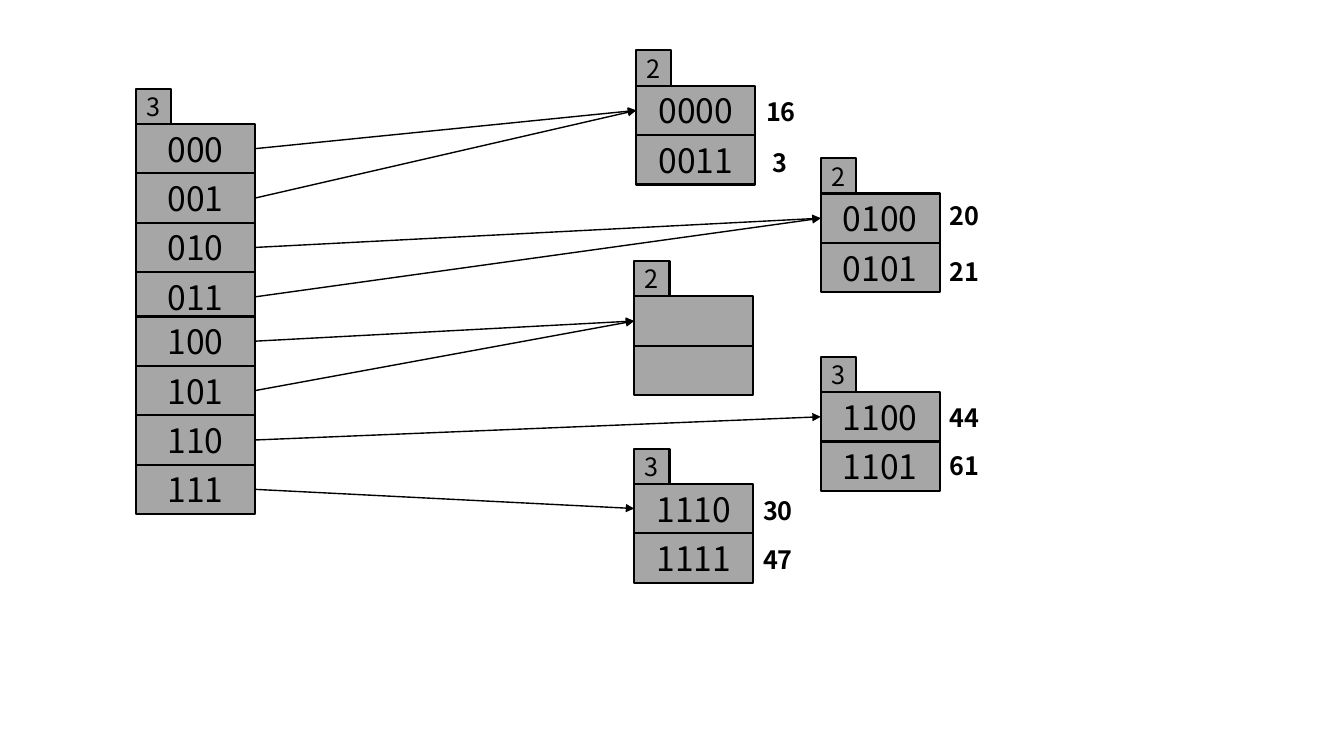
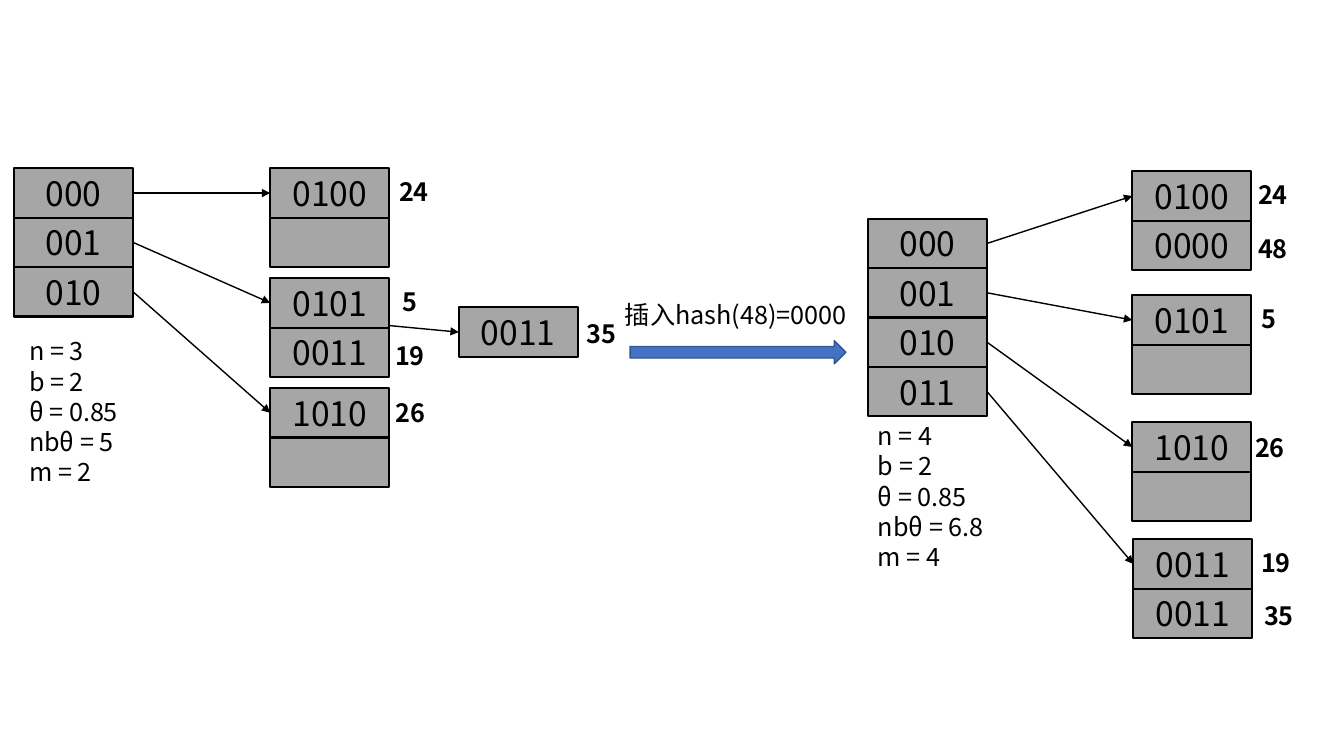
from lxml.etree import SubElement
from pptx import Presentation
from pptx.dml.color import RGBColor
from pptx.enum.shapes import MSO_CONNECTOR, MSO_SHAPE
from pptx.enum.text import MSO_ANCHOR, PP_ALIGN
from pptx.oxml.ns import qn
from pptx.util import Inches, Pt

# Shared style
FONT = "Noto Sans CJK SC"
BLACK, GRAY, BLUE, DARK_BLUE = "000000", "A6A6A6", "4472C4", "325491"
CELL_WIDTH, CELL_HEIGHT, TAB_SIZE = 1.18, 0.49, 0.35


def color(value):
    return RGBColor.from_string(value)


def write_text(shape, text, size=18, bold=False, align=PP_ALIGN.LEFT,
               anchor=MSO_ANCHOR.TOP, side=0.1, top=0.05, spacing=None):
    """Fill a shape with one paragraph for each line of text."""
    frame = shape.text_frame
    frame.word_wrap = True
    frame.vertical_anchor = anchor
    frame.margin_left = frame.margin_right = Inches(side)
    frame.margin_top = Inches(top)
    frame.text = text
    for paragraph in frame.paragraphs:
        paragraph.alignment = align
        if spacing:
            paragraph.line_spacing = Pt(spacing)
        for run in paragraph.runs:
            run.font.name = FONT
            run.font.size = Pt(size)
            run.font.bold = bold
            run.font.color.rgb = color(BLACK)
            SubElement(run.font._element, qn("a:ea"), typeface=FONT)


class Diagram:
    """Draws hash tables on the current slide."""

    def __init__(self):
        self.presentation = Presentation()
        self.presentation.slide_width = Inches(13.33)
        self.presentation.slide_height = Inches(7.5)
        self.slide = None

    def new_slide(self):
        layout = self.presentation.slide_layouts[6]
        self.slide = self.presentation.slides.add_slide(layout)

    def shape(self, kind, left, top, width, height, fill=GRAY, line=BLACK, weight=1.5):
        shape = self.slide.shapes.add_shape(
            kind, Inches(left), Inches(top), Inches(width), Inches(height))
        shape.shadow.inherit = False
        shape.fill.solid()
        shape.fill.fore_color.rgb = color(fill)
        shape.line.color.rgb = color(line)
        shape.line.width = Pt(weight)
        return shape

    def box(self, text, left, top, width, height, size):
        box = self.shape(MSO_SHAPE.RECTANGLE, left, top, width, height)
        if text:
            write_text(box, text, size=size, align=PP_ALIGN.CENTER,
                       anchor=MSO_ANCHOR.MIDDLE, side=0.05)
        return box

    def stack(self, left, top, values, depth=None):
        """Draw cells downwards, with an optional depth tab above them."""
        cells = [self.box(value, left, top + row * CELL_HEIGHT, CELL_WIDTH, CELL_HEIGHT, 24)
                 for row, value in enumerate(values)]
        if depth:
            self.box(depth, left, top - TAB_SIZE, TAB_SIZE, TAB_SIZE, 18)
        return cells

    def text(self, text, left, top, width, height=0.4, **style):
        box = self.slide.shapes.add_textbox(
            Inches(left), Inches(top), Inches(width), Inches(height))
        write_text(box, text, top=0.07, spacing=21.6, **style)

    def keys(self, items):
        for key, left, top in items:
            self.text(key, left, top, 0.49, bold=True, align=PP_ALIGN.CENTER, side=0.05)

    def arrow(self, start, target):
        """Run an arrow from a point to the left side of a cell."""
        connector = self.slide.shapes.add_connector(
            MSO_CONNECTOR.STRAIGHT, *start, *start)
        connector.end_connect(target, 1)
        connector.line.color.rgb = color(BLACK)
        connector.line.width = Pt(1)
        SubElement(connector.line._get_or_add_ln(), qn("a:tailEnd"), type="triangle")
        SubElement(connector._element.spPr, qn("a:effectLst"))
        return connector

    def link(self, source, target):
        start = source.left + source.width, source.top + source.height // 2
        self.arrow(start, target).begin_connect(source, 3)


diagram = Diagram()

# Slide 1: extendible hashing
diagram.new_slide()
directory = diagram.stack(1.35, 1.23, ["000", "001", "010", "011"], depth="3")
directory += diagram.stack(1.35, 3.14, ["100", "101", "110", "111"])
buckets = [
    diagram.stack(left, top, values, depth)
    for left, top, values, depth in [
        (6.31, 0.85, ["0000", "0011"], "2"),
        (8.14, 1.92, ["0100", "0101"], "2"),
        (6.29, 2.94, ["", ""], "2"),
        (8.14, 3.89, ["1100", "1101"], "3"),
        (6.29, 4.80, ["1110", "1111"], "3"),
    ]
]
for entry, bucket in zip(directory, [0, 0, 1, 1, 2, 2, 3, 4]):
    diagram.link(entry, buckets[bucket][0])
diagram.keys([
    ("16", 7.5, 0.89), ("3", 7.49, 1.39), ("20", 9.32, 1.92), ("21", 9.32, 2.47),
    ("44", 9.32, 3.92), ("61", 9.32, 4.4), ("30", 7.47, 4.84), ("47", 7.47, 5.33),
])

# Slide 2: linear hashing before and after an insertion
diagram.new_slide()
tables = [
    (0.14, 1.67, ["000", "001", "010"], [
        (2.68, 1.67, ["0100", ""]),
        (2.68, 2.76, ["0101", "0011"]),
        (2.68, 3.85, ["1010", ""]),
    ]),
    (8.61, 2.17, ["000", "001", "010", "011"], [
        (11.23, 1.7, ["0100", "0000"]),
        (11.23, 2.93, ["0101", ""]),
        (11.23, 4.19, ["1010", ""]),
        (11.24, 5.35, ["0011", "0011"]),
    ]),
]
for left, top, entries, targets in tables:
    directory = diagram.stack(left, top, entries)
    for entry, target in zip(directory, targets):
        diagram.link(entry, diagram.stack(*target)[0])

# Overflow bucket
overflow = diagram.stack(4.55, 3.05, ["0011"])[0]
diagram.arrow((Inches(3.86), Inches(3.23)), overflow)

# Parameters of both tables
for left, top, width, n, capacity, m in [
    (0.19, 3.26, 1.18, 3, 5, 2),
    (8.61, 4.1, 1.56, 4, 6.8, 4),
]:
    diagram.text(f"n = {n}\nb = 2\nθ = 0.85\nnbθ = {capacity}\nm = {m}",
                 left, top, width, 1.62)

# Insertion step
diagram.shape(MSO_SHAPE.RIGHT_ARROW, 6.25, 3.38, 2.14, 0.23, BLUE, DARK_BLUE, 1)
diagram.text("插入hash(48)=0000", 6.1, 2.9, 2.5)
diagram.keys([
    ("24", 3.86, 1.68), ("5", 3.82, 2.77), ("19", 3.82, 3.31),
    ("35", 5.72, 3.09), ("26", 3.83, 3.87),
    ("24", 12.38, 1.71), ("48", 12.38, 2.24), ("5", 12.34, 2.94),
    ("26", 12.35, 4.22), ("19", 12.41, 5.36), ("35", 12.44, 5.89),
])

diagram.presentation.save("out.pptx")
